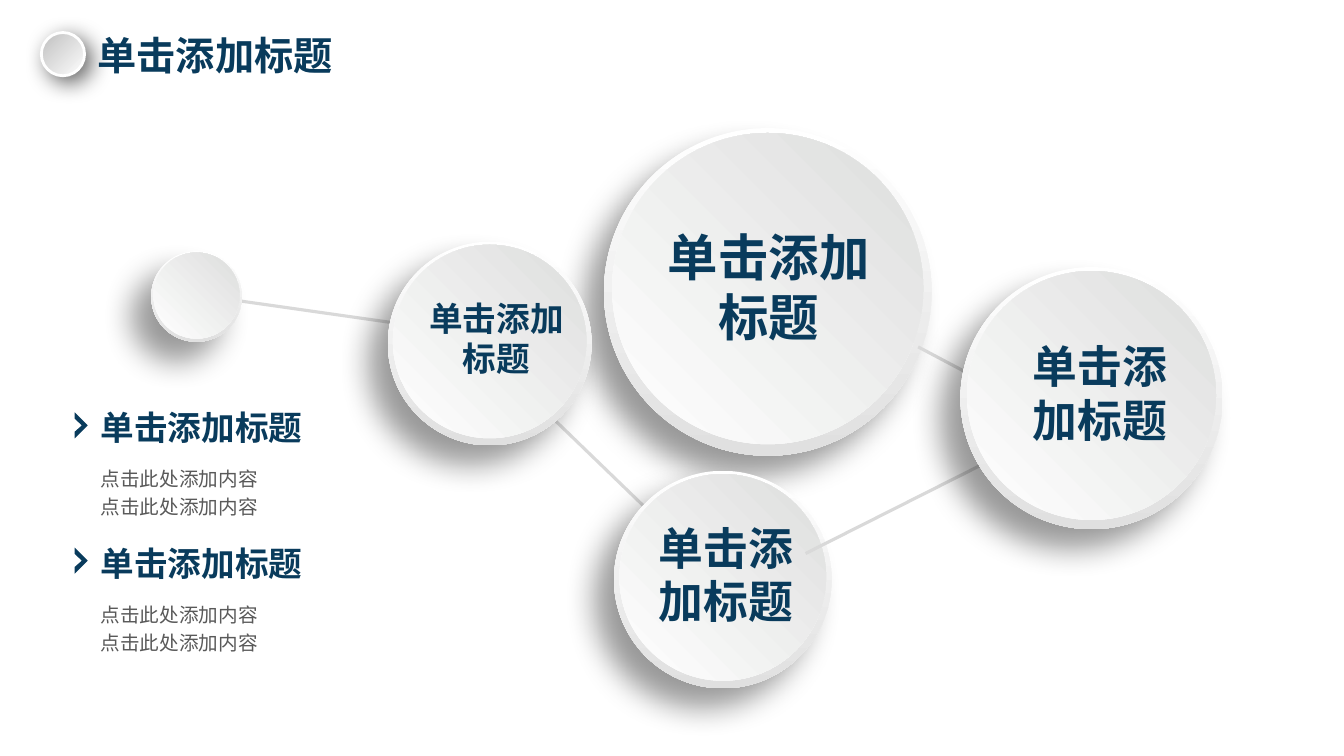
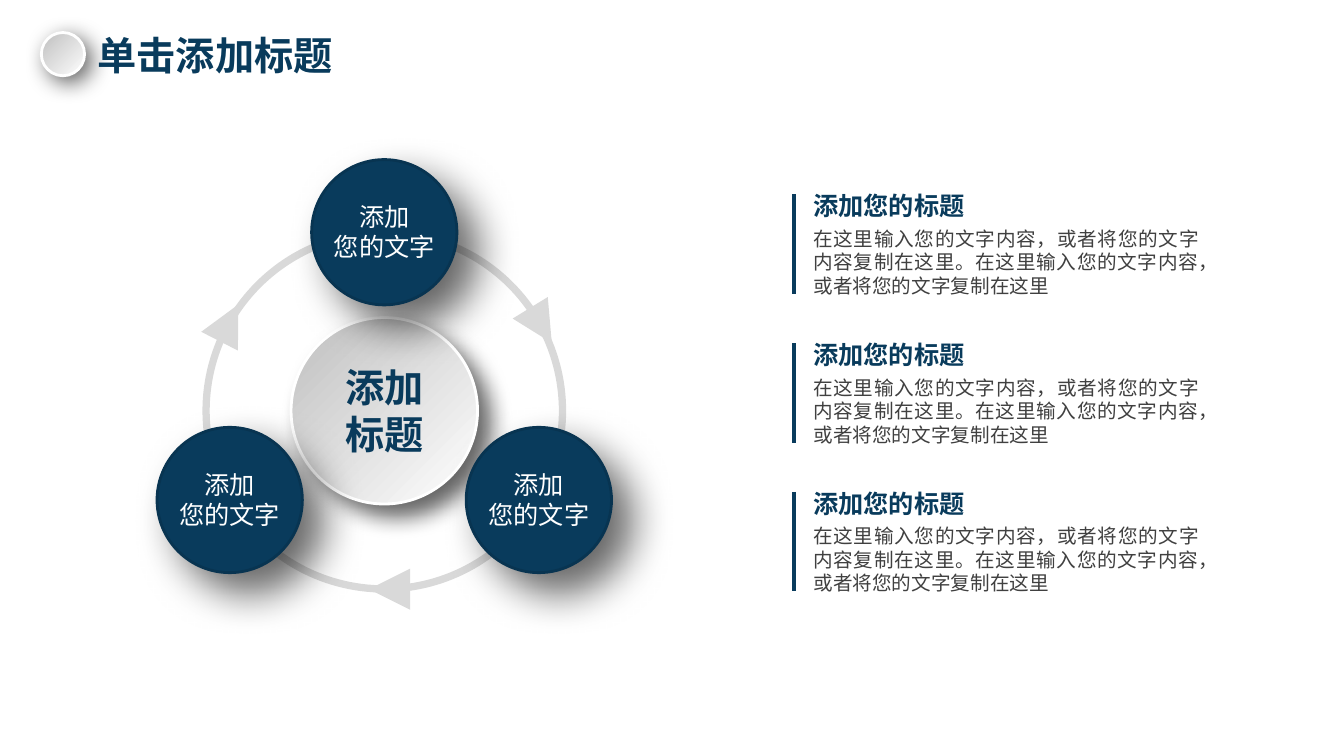
from math import cos, radians, sin

from pptx import Presentation
from pptx.dml.color import RGBColor
from pptx.enum.shapes import MSO_CONNECTOR, MSO_SHAPE, MSO_SHAPE_TYPE
from pptx.enum.text import PP_ALIGN
from pptx.oxml import parse_xml
from pptx.oxml.ns import nsdecls
from pptx.oxml.xmlchemy import OxmlElement
from pptx.util import Emu, Pt

# Shared style; the slide is a grid of 32 columns by 18 rows of square cells
CELL = Emu(381000)
COLUMNS, ROWS = 32, 18
FONT = "Noto Sans CJK SC"
NAVY, NAVY_EDGE, WHITE = "093B5C", "083451", "FFFFFF"
GREY, BODY_GREY, DARK_GREY = "D9D9D9", "595959", "404040"
BADGE_FILL = (WHITE, "BFBFBF", 135)
RIM_FILL = (WHITE, "E0E0E0", 270)
FACE_FILL = (WHITE, "DDDEDD", 45)
# Shadows: opacity in percent, blur and distance in points, direction in degrees
BADGE_SHADOW, HUB_SHADOW = (60, 16, 6, 45), (60, 16, 12, 45)
NODE_SHADOW, RIM_SHADOW = (60, 30, 20, 45), (40, 22, 20, 135)
LEFT, CENTER, JUSTIFY = PP_ALIGN.LEFT, PP_ALIGN.CENTER, PP_ALIGN.JUSTIFY
OVAL, DONUT, TRIANGLE = MSO_SHAPE.OVAL, MSO_SHAPE.DONUT, MSO_SHAPE.ISOSCELES_TRIANGLE
STRAIGHT, LINE = MSO_CONNECTOR.STRAIGHT, MSO_SHAPE_TYPE.LINE
rgb = RGBColor.from_string


def add_text(slide, box, lines, size, color, bold=False, align=LEFT, spacing=None):
    left, top, width, height = (int(v * CELL) for v in box)
    frame = slide.shapes.add_textbox(left, top, width, height).text_frame
    frame.word_wrap = True
    frame.text = "\n".join(lines)
    for paragraph in frame.paragraphs:
        paragraph.alignment = align
        paragraph.line_spacing = Pt(spacing or size * 1.2)
        font = paragraph.font
        font.size, font.bold, font.name = Pt(size), bold, FONT
        font.color.rgb = rgb(color)
        east_asian = OxmlElement("a:ea")
        east_asian.set("typeface", FONT)
        font._rPr.append(east_asian)


def add_disc(slide, x, y, diameter, fill, edge=None, shadow=None):
    """Draw a disc centred on x, y; fill is a colour or (start, end, angle)."""
    left, top = int((x - diameter / 2) * CELL), int((y - diameter / 2) * CELL)
    side = int(diameter * CELL)
    disc = slide.shapes.add_shape(OVAL, left, top, side, side)
    if isinstance(fill, str):
        disc.fill.solid()
        disc.fill.fore_color.rgb = rgb(fill)
    else:
        disc.fill.gradient()
        disc.fill.gradient_angle = fill[2]
        for stop, color in zip(disc.fill.gradient_stops, fill):
            stop.color.rgb = rgb(color)
    if edge:
        disc.line.color.rgb = rgb(edge)
        disc.line.width = Pt(2)
    else:
        disc.line.fill.background()
    disc.shadow.inherit = False
    if shadow:
        opacity, blur, distance, direction = shadow
        disc._element.spPr.effectLst.append(parse_xml(
            f'<a:outerShdw {nsdecls("a")} blurRad="{Pt(blur)}" dist="{Pt(distance)}" '
            f'dir="{direction * 60000}" algn="ctr" rotWithShape="0"><a:srgbClr val="000000">'
            f'<a:alpha val="{opacity * 1000}"/></a:srgbClr></a:outerShdw>'))


prs = Presentation()
prs.slide_width, prs.slide_height = COLUMNS * CELL, ROWS * CELL
bubbles, cycle = [prs.slides.add_slide(prs.slide_layouts[6]) for _ in range(2)]

# Header of both slides
for slide in (bubbles, cycle):
    add_disc(slide, 1.5, 1.29, 1.03, BADGE_FILL, WHITE, BADGE_SHADOW)
    add_text(slide, (2.09, 0.62, 10, 1.36), ["单击添加标题"], 28, NAVY, True)

# Slide 1: bulleted sections at the left
CHEVRON = [(0, 0), (0.31, 0.31), (0, 0.62), (0, 0.46), (0.17, 0.31), (0, 0.15)]
for section in range(2):
    top = 9.58 + section * 3.22
    points = [(int((1.78 + x) * CELL), int((top + 0.24 + y) * CELL)) for x, y in CHEVRON]
    outline = bubbles.shapes.build_freeform(*points[0])
    outline.add_line_segments(points[1:], close=True)
    chevron = outline.convert_to_shape()
    chevron.fill.solid()
    chevron.fill.fore_color.rgb = rgb(NAVY)
    chevron.line.fill.background()
    chevron.shadow.inherit = False
    add_text(bubbles, (2.16, top, 6.5, 1.2), ["单击添加标题"], 24, NAVY, True)
    add_text(bubbles, (2.16, top + 1.32, 5.6, 1.58), ["点击此处添加内容"] * 2, 14,
             BODY_GREY, spacing=20)

# Bubbles: centre, diameter, title (left, width, size), links drawn beneath
BUBBLES = [
    (18.28, 6.95, 7.8, (15.31, 5.98, 36), []),
    (17.21, 13.8, 5.18, (14.93, 4.7, 32),
     [(15.7, 12.41, 11.9, 8.74), (9.67, 7.73, 4.97, 7.06)]),
    (4.68, 7.06, 2.16, None, [(23.9, 10.8, 19.18, 13.18)]),
    (11.66, 8.18, 4.85, (9.67, 4.3, 24), []),
    (25.99, 9.48, 6.24, (23.9, 4.58, 32), [(23.9, 9.34, 21.86, 8.26)]),
]
for x, y, diameter, title, links in BUBBLES:
    for ends in links:
        link = bubbles.shapes.add_connector(STRAIGHT, *(int(v * CELL) for v in ends))
        link.line.color.rgb = rgb(GREY)
        link.line.width = Pt(2.25)
    add_disc(bubbles, x, y, diameter, RIM_FILL, shadow=RIM_SHADOW)
    add_disc(bubbles, x, y - diameter * 0.01, diameter * 0.95, FACE_FILL)
    if title:
        left, width, size = title
        height = size * 0.08 + 0.24
        add_text(bubbles, (left, y - 0.13 - height / 2, width, height),
                 ["单击添加标题"], size, NAVY, True, CENTER)

# Slide 2: ring with arrowheads
HUB_X, HUB_Y, RADIUS, RING_SIZE, ARROW_SIZE = 9.15, 9.78, 4.25, 8.66, 0.98
ring_parts = [(DONUT, HUB_X, HUB_Y, RING_SIZE, 0)]
for angle, turn in [(-28.6, 148.5), (88.3, 270), (209.5, 27.1)]:
    ring_parts.append((TRIANGLE, HUB_X + RADIUS * cos(radians(angle)),
                       HUB_Y + RADIUS * sin(radians(angle)), ARROW_SIZE, turn))
for outline, x, y, size, turn in ring_parts:
    part = cycle.shapes.add_shape(outline, int((x - size / 2) * CELL),
                                  int((y - size / 2) * CELL),
                                  int(size * CELL), int(size * CELL))
    part.adjustments[0] = 0.02 if outline == DONUT else 0.5
    part.rotation = turn
    part.fill.solid()
    part.fill.fore_color.rgb = rgb(GREY)
    part.line.fill.background()
    part.shadow.inherit = False

# Hub and the three nodes around it
add_disc(cycle, HUB_X, HUB_Y, 4.44, BADGE_FILL, WHITE, HUB_SHADOW)
for angle in (-90, 150, 30):
    x = HUB_X + RADIUS * cos(radians(angle))
    y = HUB_Y + RADIUS * sin(radians(angle))
    add_disc(cycle, x, y, 3.46, NAVY, NAVY_EDGE, NODE_SHADOW)
    add_text(cycle, (x - 1.68, y - 0.85, 3.36, 1.7), ["添加", "您的文字"], 18, WHITE,
             align=CENTER)
add_text(cycle, (HUB_X - 1.5, HUB_Y - 1.25, 3, 2.5), ["添加", "标题"], 28, NAVY, True, CENTER)

# Explanations at the right
EXPLANATION = ("在这里输入您的文字内容，或者将您的文字内容复制在这里。"
               "在这里输入您的文字内容，或者将您的文字复制在这里")
for item in range(3):
    top = 4.42 + item * 3.54
    add_text(cycle, (19.13, top + 0.86, 9.65, 1.94), [EXPLANATION], 14, DARK_GREY,
             align=JUSTIFY)
    add_text(cycle, (19.13, top, 8, 0.96), ["添加您的标题"], 18, NAVY, True)
    bar_x, bar_top, bar_end = (int(v * CELL) for v in (18.91, top + 0.21, top + 2.58))
    bar = cycle.shapes.add_connector(STRAIGHT, bar_x, bar_top, bar_x, bar_end)
    bar.line.color.rgb = rgb(NAVY)
    bar.line.width = Pt(3)

# Connectors carry no shadow
for slide in (bubbles, cycle):
    for shape in slide.shapes:
        if shape.shape_type == LINE:
            shape._element.spPr.append(OxmlElement("a:effectLst"))

prs.save("out.pptx")
